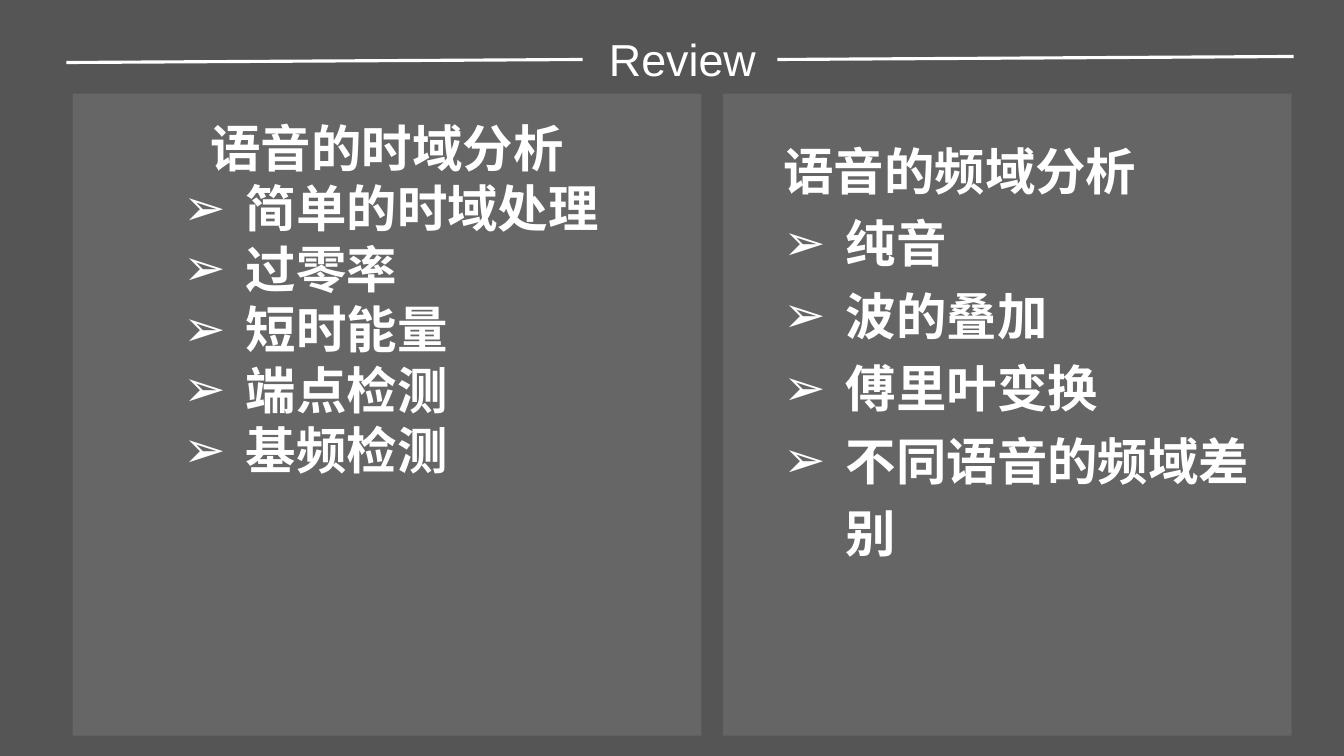
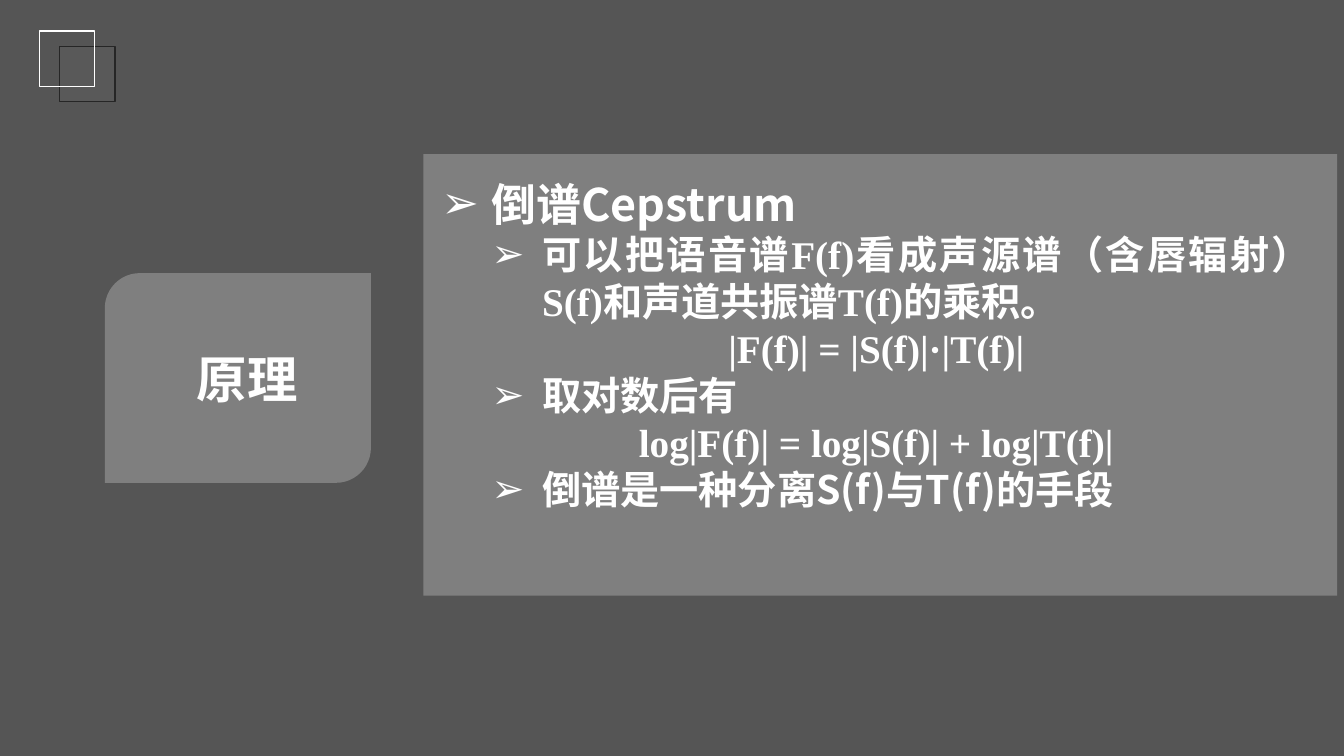
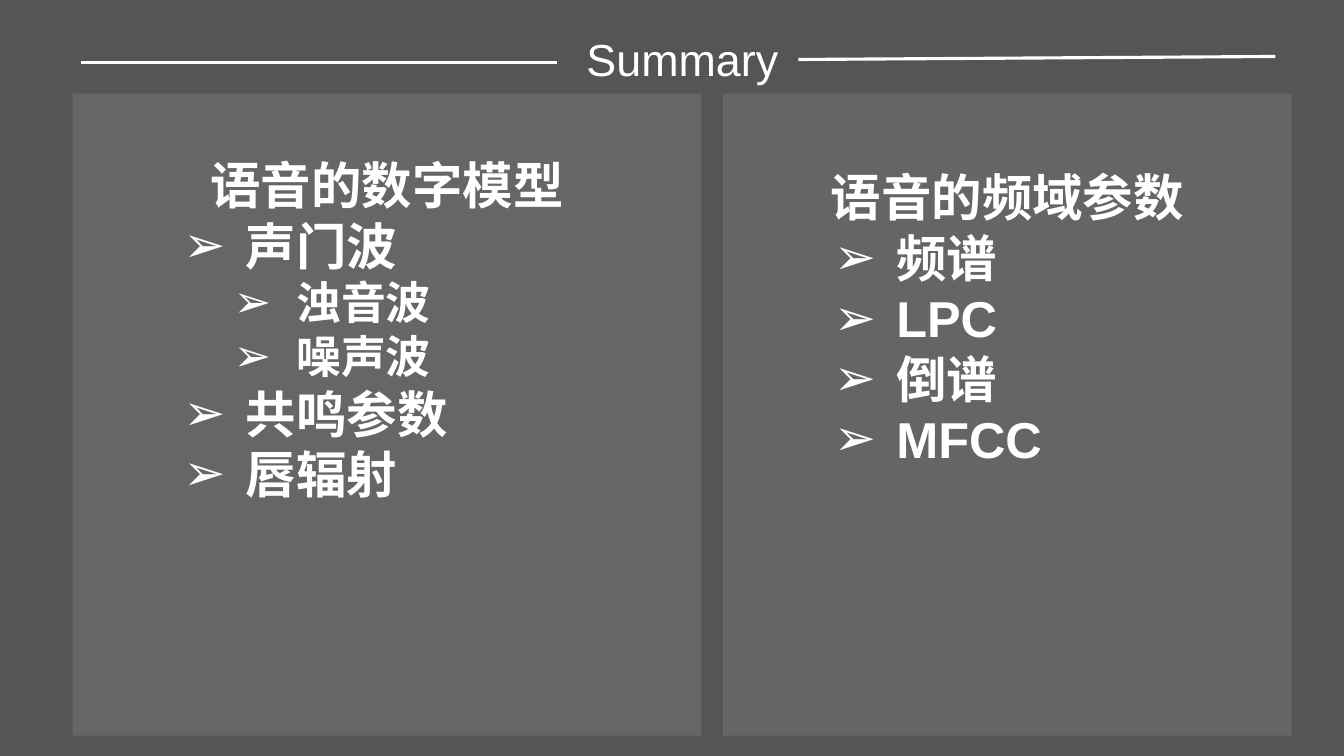
from lxml import etree
from pptx import Presentation
from pptx.dml.color import RGBColor
from pptx.enum.shapes import MSO_CONNECTOR, MSO_SHAPE
from pptx.enum.text import MSO_ANCHOR, MSO_AUTO_SIZE, PP_ALIGN
from pptx.oxml.ns import qn
from pptx.util import Inches, Pt

LEFT, CENTER, JUSTIFY = PP_ALIGN.LEFT, PP_ALIGN.CENTER, PP_ALIGN.JUSTIFY
TOP, MIDDLE = MSO_ANCHOR.TOP, MSO_ANCHOR.MIDDLE
RECT, TAB = MSO_SHAPE.RECTANGLE, MSO_SHAPE.ROUND_2_DIAG_RECTANGLE
STRAIGHT = MSO_CONNECTOR.STRAIGHT
NO_FIT = MSO_AUTO_SIZE.NONE

BACKDROP, WHITE, PALE = "555555", "FFFFFF", "F2F2F2"
SQUARE_FILL, SQUARE_EDGE = "595959", "262626"
SANS, SERIF, HAN = "Arial", "Times New Roman", "Noto Sans CJK SC"


def paint(fill, hex_color, opacity=100):
    fill.solid()
    fill.fore_color.rgb = RGBColor.from_string(hex_color)
    if opacity < 100:
        color = fill._xPr.find(qn("a:solidFill"))[0]
        etree.SubElement(color, qn("a:alpha"), val=str(opacity * 1000))


def write(frame, lines, leading=None, bold=True):
    frame.word_wrap = True
    for number, (text, size, face, align, indent, hanging) in enumerate(lines):
        paragraph = frame.paragraphs[0] if number == 0 else frame.add_paragraph()
        paragraph.alignment = align
        properties = paragraph._p.get_or_add_pPr()
        properties.set("marL", str(Inches(indent)))
        properties.set("indent", str(-Inches(hanging)))
        if hanging:
            etree.SubElement(properties, qn("a:buFont"), typeface=SANS)
            etree.SubElement(properties, qn("a:buChar"), char="➢")
        if leading:
            paragraph.line_spacing = Pt(round(size * leading, 1))
        run = paragraph.add_run()
        run.text = text
        run.font.size = Pt(size)
        run.font.bold = bold
        paint(run.font.fill, WHITE)
        run.font.name = face
        etree.SubElement(run.font._element, qn("a:ea"), typeface=HAN)


prs = Presentation()
prs.slide_width, prs.slide_height = Inches(13.33), Inches(7.5)
column, row = prs.slide_width / 100, prs.slide_height / 100
grid = (column, row, column, row)
paint(prs.slide_master.background.fill, BACKDROP)
title_only = prs.slide_layouts[5]

heading = (36, SANS, CENTER, 0, 0)
item = (36, SANS, LEFT, 1.62, 0.62)
subitem = (32, SANS, LEFT, 2.12, 0.62)
left_heading = (36, HAN, LEFT, 0.5, 0)
left_item = (36, HAN, LEFT, 1.12, 0.62)
topic = (32, HAN, JUSTIFY, 0.5, 0.5)
point = (28, SERIF, JUSTIFY, 1, 0.5)
formula = (28, SERIF, CENTER, 0, 0)
conclusion = (28, HAN, JUSTIFY, 1, 0.5)

review = [
    ([("语音的时域分析", *heading)]
     + [(text, *item) for text in ("简单的时域处理", "过零率", "短时能量", "端点检测", "基频检测")],
     0.23, 1.2),
    ([("语音的频域分析", *left_heading)]
     + [(text, *left_item) for text in ("纯音", "波的叠加", "傅里叶变换", "不同语音的频域差别")],
     0.34, 1.44),
]
principle = [
    ("倒谱Cepstrum", *topic),
    ("可以把语音谱F(f)看成声源谱（含唇辐射）S(f)和声道共振谱T(f)的乘积。", *point),
    ("|F(f)| = |S(f)|·|T(f)|", *formula),
    ("取对数后有", *point),
    ("log|F(f)| = log|S(f)| + log|T(f)|", *formula),
    ("倒谱是一种分离S(f)与T(f)的手段", *conclusion),
]
summary = [
    ([("语音的数字模型", *heading), ("声门波", *item), ("浊音波", *subitem),
      ("噪声波", *subitem), ("共鸣参数", *item), ("唇辐射", *item)], 0.6, 1.2),
    ([("语音的频域参数", *heading)]
     + [(text, *item) for text in ("频谱", "LPC", "倒谱", "MFCC")], 0.72, 1.2),
]

banner_area = (38.78, 4.13, 24, 7.2)
tab_title_area = (8.5, 36.13, 19.8, 27.73)
panel_areas = [((5.4, 12.4, 46.8, 84.9), WHITE), ((53.8, 12.4, 42.3, 84.9), PALE)]
review_rules = [(4.95, 8.27, 43.36, 7.87), (57.84, 7.87, 96.25, 7.47)]
summary_rules = [(6, 8.27, 41.48, 8.27), (59.41, 7.87, 94.9, 7.47)]
principle_blocks = [
    (RECT, (4.42, 6.13, 4.13, 7.33), SQUARE_FILL, 100, SQUARE_EDGE),
    (RECT, (2.93, 4.13, 4.13, 7.33), None, 100, WHITE),
    (TAB, (7.8, 36.13, 19.8, 27.73), WHITE, 25, None),
    (RECT, (31.5, 20.4, 68, 58.4), WHITE, 25, None),
]
panel_blocks = [(RECT, area, color, 10, None) for area, color in panel_areas]

pages = [
    ("Review", (32, SANS, CENTER, 0, 0), False, banner_area, review_rules, panel_blocks, review),
    ("原理", (36, HAN, CENTER, 0, 0), True, tab_title_area, [], principle_blocks, []),
    ("Summary", (32, SANS, CENTER, 0, 0), False, banner_area, summary_rules, panel_blocks, summary),
]

for name, title_style, title_bold, title_area, rules, blocks, panels in pages:
    slide = prs.slides.add_slide(title_only)

    for rule in rules:
        rule_line = slide.shapes.add_connector(
            STRAIGHT, *[int(share * unit) for share, unit in zip(rule, grid)])
        paint(rule_line.line.fill, WHITE)
        rule_line.line.width = Pt(2.25)
        etree.SubElement(rule_line._element.spPr, qn("a:effectLst"))

    drawn = []
    for geometry, area, color, opacity, edge in blocks:
        block = slide.shapes.add_shape(
            geometry, *[int(share * unit) for share, unit in zip(area, grid)])
        block.shadow.inherit = False
        if color:
            paint(block.fill, color, opacity)
        else:
            block.fill.background()
        if edge:
            paint(block.line.fill, edge)
            block.line.width = Pt(1)
        else:
            block.line.fill.background()
        drawn.append(block)

    for panel, (lines, top_inset, leading) in zip(drawn, panels):
        panel.text_frame.vertical_anchor = TOP
        panel.text_frame.margin_top = Inches(top_inset)
        write(panel.text_frame, lines, leading)

    if not panels:
        explanation = slide.shapes.add_textbox(
            *[int(share * unit) for share, unit in zip((32.1, 22.7, 66.2, 55), grid)])
        write(explanation.text_frame, principle, 1.2)

    title = slide.shapes.title
    title.left, title.top, title.width, title.height = [
        int(share * unit) for share, unit in zip(title_area, grid)]
    label = title.text_frame
    label.auto_size = NO_FIT
    label.vertical_anchor = MIDDLE
    label.margin_left = label.margin_right = label.margin_top = label.margin_bottom = 0
    write(label, [(name, *title_style)], bold=title_bold)
    title.element.getparent().append(title.element)

prs.save("out.pptx")
